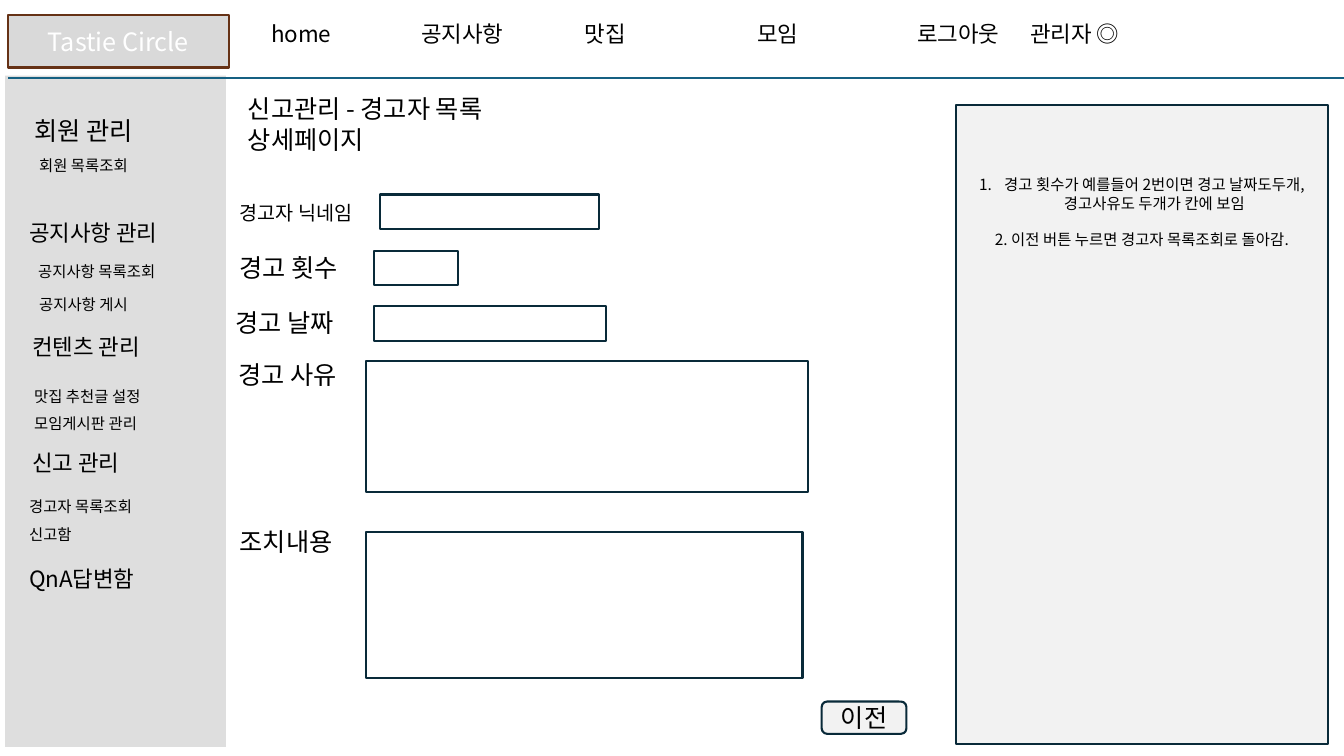
from lxml.etree import SubElement
from pptx import Presentation
from pptx.dml.color import RGBColor
from pptx.enum.shapes import MSO_CONNECTOR, MSO_SHAPE
from pptx.enum.text import MSO_ANCHOR, MSO_AUTO_SIZE, PP_ALIGN
from pptx.oxml.ns import qn
from pptx.util import Inches, Pt

FONT = "Noto Sans CJK KR"
BLACK, WHITE, NAVY, PALE = "000000", "FFFFFF", "092A39", "F2F2F2"

NAVIGATION = [
    ("home", 0.4), ("공지사항", 1.89), ("맛집", 3.51),
    ("모임", 5.22), ("로그아웃", 6.81), ("관리자 ◎", 7.93),
]
SIDE_MENU = [
    ("회원 관리", 0.24, 1.09, 18),
    ("회원 목록조회", 0.29, 1.5, 11),
    ("공지사항 관리", 0.19, 2.12, 16),
    ("공지사항 목록조회", 0.28, 2.55, 11),
    ("공지사항 게시", 0.29, 2.88, 11),
    ("컨텐츠 관리", 0.22, 3.26, 16),
    ("맛집 추천글 설정", 0.24, 3.79, 11),
    ("모임게시판 관리", 0.24, 4.06, 11),
    ("신고 관리", 0.22, 4.41, 16),
    ("경고자 목록조회", 0.19, 4.88, 11),
    ("신고함", 0.19, 5.16, 11),
    ("QnA답변함", 0.19, 5.56, 16),
]
FORM_FIELDS = [
    ("경고자 닉네임", 2.28, 1.94, 14, (3.77, 1.93, 2.17, 0.34)),
    ("경고 횟수", 2.28, 2.45, 18, (3.71, 2.49, 0.83, 0.34)),
    ("경고 날짜", 2.24, 3, 18, (3.71, 3.04, 2.3, 0.34)),
    ("경고 사유", 2.27, 3.52, 18, (3.63, 3.58, 4.38, 1.3)),
    ("조치내용", 2.28, 5.17, 18, (3.63, 5.28, 4.33, 1.45)),
]
NOTES = [
    "경고 횟수가 예를들어 2번이면 경고 날짜도두개, 경고사유도 두개가 칸에 보임",
    "2. 이전 버튼 누르면 경고자 목록조회로 돌아감.",
]
LABEL_HEIGHTS = {11: 0.29, 14: 0.34, 16: 0.37, 18: 0.4}


def color(hex_code):
    """Turn a hex string into a colour."""
    return RGBColor.from_string(hex_code)


def write(paragraph, text, size, ink=BLACK):
    """Fill a paragraph and format its runs."""
    paragraph.text = text
    for run in paragraph.runs:
        run.font.name = FONT
        run.font.size = Pt(size)
        run.font.color.rgb = color(ink)
        SubElement(run.font._element, qn("a:ea"), typeface=FONT)


def add_label(slide, text, left, top, width, size, height=None):
    """Add a wrapping text box that grows with its text."""
    label = slide.shapes.add_textbox(
        Inches(left), Inches(top), Inches(width), Inches(height or LABEL_HEIGHTS[size]))
    frame = label.text_frame
    frame.word_wrap = True
    frame.auto_size = MSO_AUTO_SIZE.SHAPE_TO_FIT_TEXT
    write(frame.paragraphs[0], text, size)
    return frame.paragraphs[0]


def add_panel(slide, box, fill, border=None, kind=MSO_SHAPE.RECTANGLE):
    """Add a filled shape with an optional border."""
    panel = slide.shapes.add_shape(kind, *map(Inches, box))
    panel.shadow.inherit = False
    panel.fill.solid()
    panel.fill.fore_color.rgb = color(fill)
    if border:
        panel.line.color.rgb = color(border)
        panel.line.width = Pt(1.5)
    else:
        panel.line.fill.background()
    return panel


def add_caption(panel, text, ink):
    """Centre an 18 point caption in a panel."""
    frame = panel.text_frame
    frame.vertical_anchor = MSO_ANCHOR.MIDDLE
    frame.paragraphs[0].alignment = PP_ALIGN.CENTER
    write(frame.paragraphs[0], text, 18, ink)


def add_navigation(slide):
    """Add the top menu, spaced by tab stops."""
    entries = "".join(f"\t{name}" for name, _ in NAVIGATION)
    menu = add_label(slide, entries, 2.19, 0.15, 10.97, 16)
    stops = SubElement(menu._p.get_or_add_pPr(), qn("a:tabLst"))
    for _, position in NAVIGATION:
        SubElement(stops, qn("a:tab"), pos=str(Inches(position)), algn="l")


def add_sidebar(slide):
    """Add the half-transparent side menu background."""
    sidebar = add_panel(slide, (0.05, 0.75, 2.19, 6.66), "BFBFBF")
    tint = sidebar._element.spPr.find(f"{qn('a:solidFill')}/{qn('a:srgbClr')}")
    SubElement(tint, qn("a:alpha"), val="50000")


def add_divider(slide):
    """Add the line below the top menu."""
    divider = slide.shapes.add_connector(
        MSO_CONNECTOR.STRAIGHT, Inches(0.08), Inches(0.77), Inches(13.33), Inches(0.77))
    divider.line.color.rgb = color("156082")
    divider.line.width = Pt(1.5)
    SubElement(divider._element.spPr, qn("a:effectLst"))


def add_notes_panel(slide):
    """Add the panel that explains the page's behaviour."""
    frame = add_panel(slide, (9.48, 1.04, 3.69, 6.34), PALE, NAVY).text_frame
    frame.vertical_anchor = MSO_ANCHOR.TOP
    frame.margin_top = Inches(0.7)
    first, second = frame.paragraphs[0], frame.add_paragraph()
    for paragraph, note in zip((first, second), NOTES):
        paragraph.alignment = PP_ALIGN.CENTER
        write(paragraph, note, 11)
    second.space_before = Pt(13)
    numbering = first._p.get_or_add_pPr()
    numbering.set("marL", str(Inches(0.25)))
    numbering.set("indent", str(-Inches(0.25)))
    SubElement(numbering, qn("a:buFont"), typeface=FONT)
    SubElement(numbering, qn("a:buAutoNum"), type="arabicPeriod")


def main():
    """Build the warned-member detail page."""
    deck = Presentation()
    deck.slide_width, deck.slide_height = Inches(13.33), Inches(7.5)
    slide = deck.slides.add_slide(deck.slide_layouts[6])
    add_navigation(slide)
    site_name = add_panel(slide, (0.08, 0.15, 2.19, 0.52), "D9D9D9", "663216")
    add_caption(site_name, "Tastie Circle", WHITE)
    add_sidebar(slide)
    add_divider(slide)
    for name, left, top, size in SIDE_MENU:
        add_label(slide, name, left, top, 1.9, size)
    add_label(slide, "신고관리 - 경고자 목록 상세페이지", 2.36, 0.88, 3.4, 18, 0.71)
    add_notes_panel(slide)
    for name, left, top, size, box in FORM_FIELDS:
        add_label(slide, name, left, top, 1.5, size)
        add_panel(slide, box, WHITE, NAVY)
    back_button = add_panel(
        slide, (8.15, 6.96, 0.84, 0.32), PALE, NAVY, MSO_SHAPE.ROUNDED_RECTANGLE)
    add_caption(back_button, "이전", BLACK)
    deck.save("out.pptx")


if __name__ == "__main__":
    main()
